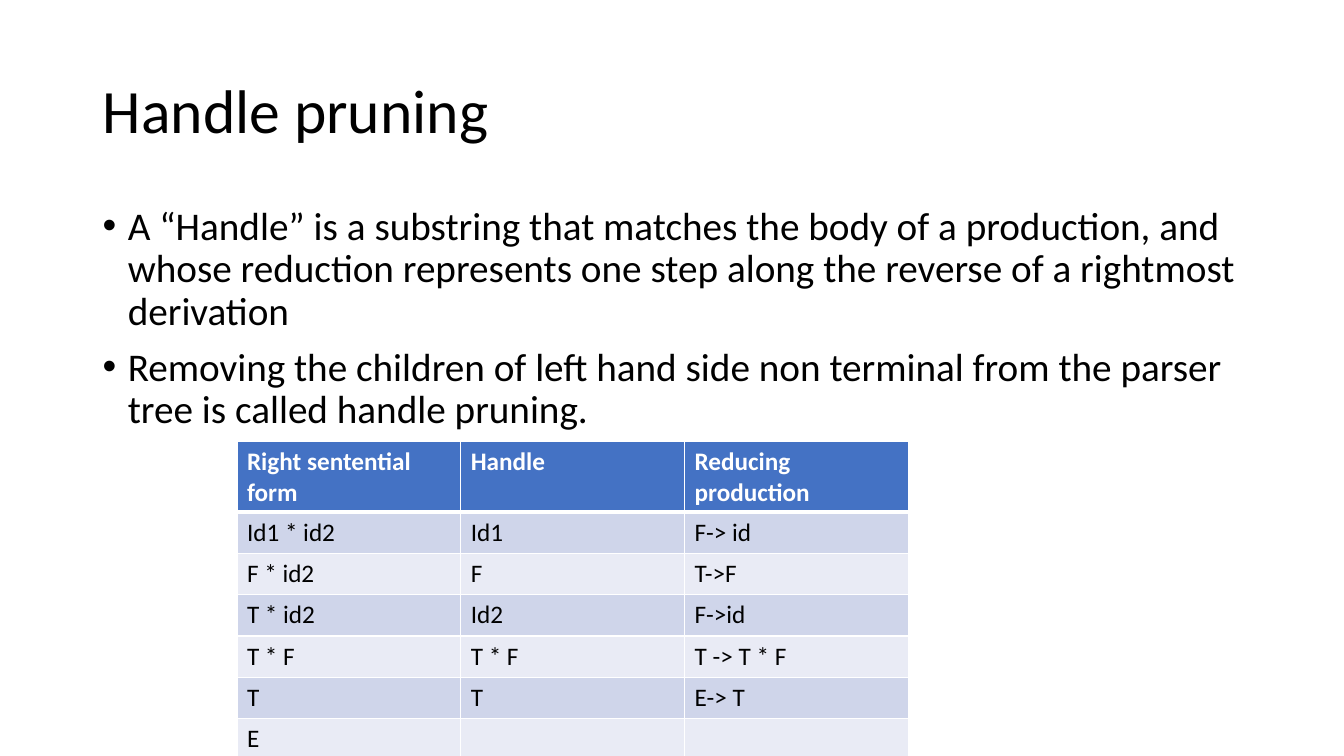
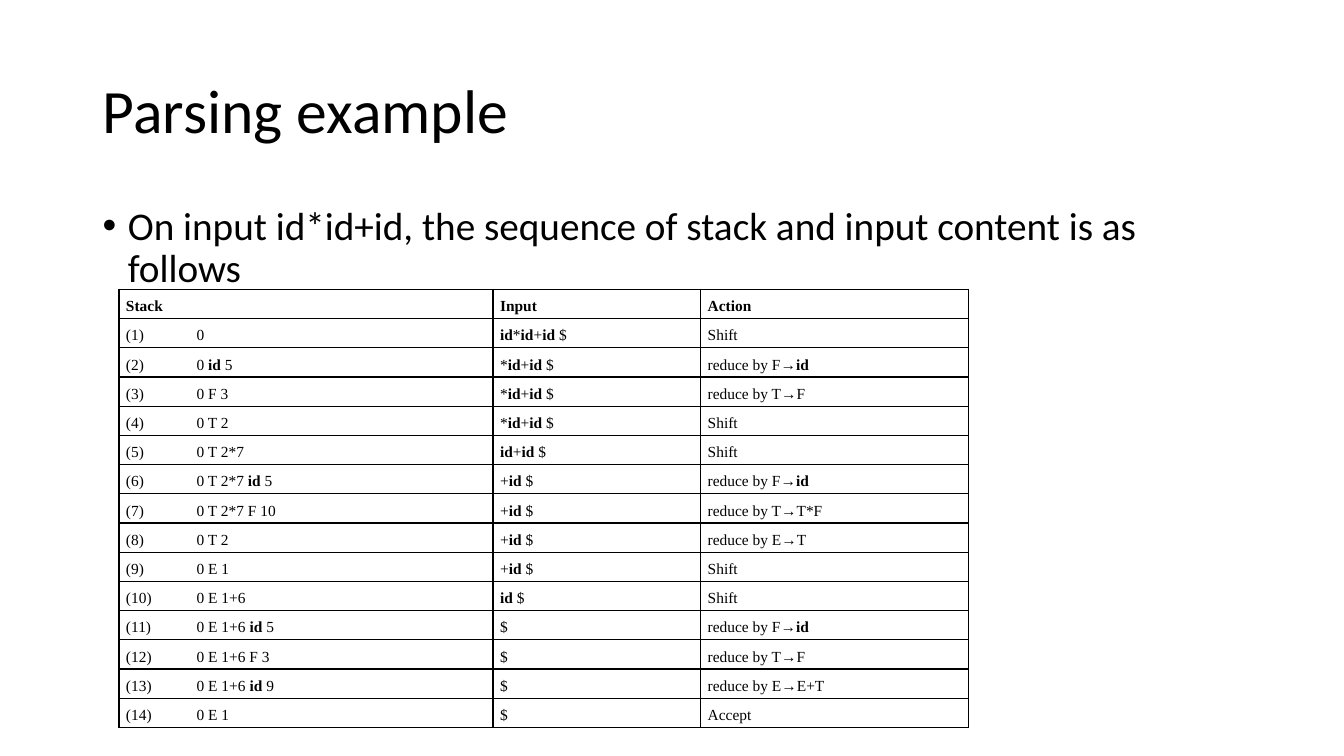
"""Build two slides on handle pruning and shift-reduce parsing."""
from dataclasses import dataclass

from lxml import etree
from pptx import Presentation
from pptx.dml.color import RGBColor
from pptx.enum import text as te
from pptx.oxml import ns
from pptx.util import Inches, Pt

HUES = {"ink": "000000", "white": "FFFFFF", "head": "4472C4",
        "odd": "CFD5EA", "even": "E9EBF5"}
SANS, SERIF = "Calibri", "Times New Roman"


@dataclass
class Look:
    font: str
    size: float
    edge: str
    head: str
    head_ink: str
    fills: tuple = ()
    head_rule: float = 1
    inset: tuple = (0.1, 0.05)
    align: te.PP_ALIGN = te.PP_ALIGN.LEFT
    lead: float = 1
    before: float = 0
    key: str = ""


@dataclass
class Grid:
    left: float
    top: float
    cols: tuple
    high: float
    rows: list
    look: Look
    joined: bool = False


@dataclass
class Page:
    title: str
    points: list
    grid: Grid


BANDED = Look(SANS, 18, "white", "head", "white", ("odd", "even"), head_rule=3)
RULED = Look(SERIF, 11, "ink", "", "ink", inset=(0.07, 0),
             align=te.PP_ALIGN.JUSTIFY, lead=1.5, before=12, key="id")

PRUNE = [
    ("Right sentential form", "Handle", "Reducing production"),
    ("Id1 * id2", "Id1", "F-> id"),
    ("F * id2", "F", "T->F"),
    ("T * id2", "Id2", "F->id"),
    ("T * F", "T * F", "T -> T * F"),
    ("T", "T", "E-> T"),
    ("E", "", ""),
]
MOVES = [
    ("0", "id*id+id $", "Shift"),
    ("0 id 5", "*id+id $", "reduce by F→id"),
    ("0 F 3", "*id+id $", "reduce by T→F"),
    ("0 T 2", "*id+id $", "Shift"),
    ("0 T 2*7", "id+id $", "Shift"),
    ("0 T 2*7 id 5", "+id $", "reduce by F→id"),
    ("0 T 2*7 F 10", "+id $", "reduce by T→T*F"),
    ("0 T 2", "+id $", "reduce by E→T"),
    ("0 E 1", "+id $", "Shift"),
    ("0 E 1+6", "id $", "Shift"),
    ("0 E 1+6 id 5", "$", "reduce by F→id"),
    ("0 E 1+6 F 3", "$", "reduce by T→F"),
    ("0 E 1+6 id 9", "$", "reduce by E→E+T"),
    ("0 E 1", "$", "Accept"),
]
TRACE = [("Stack", "", "Input", "Action")]
TRACE += [(f"({n})", *move) for n, move in enumerate(MOVES, 1)]

PAGES = [
    Page("Handle pruning",
         ["A “Handle” is a substring that matches the body of a production, "
          "and whose reduction represents one step along the reverse of a "
          "rightmost derivation",
          "Removing the children of left hand side non terminal from the "
          "parser tree is called handle pruning."],
         Grid(2.35, 4.38, (2.22,) * 3, 0.41, PRUNE, BANDED)),
    Page("Parsing example",
         ["On input id*id+id, the sequence of stack and input content is as "
          "follows"],
         Grid(1.18, 2.87, (0.7, 3.01, 2.06, 2.66), 0.29, TRACE, RULED,
              joined=True)),
]


def style(para, font: str, size: float, hue: str, bold: bool = False) -> None:
    """Set the font of a paragraph."""
    para.font.name, para.font.size, para.font.bold = font, Pt(size), bold
    para.font.color.rgb = RGBColor.from_string(HUES[hue])


def add_title(slide, words: str) -> None:
    """Place and format the title placeholder."""
    title = slide.shapes.title
    title.left, title.top = Inches(0.92), Inches(0.4)
    title.width, title.height = Inches(11.5), Inches(1.45)
    frame = title.text_frame
    frame.text = words
    frame.auto_size = te.MSO_AUTO_SIZE.NONE
    frame.vertical_anchor = te.MSO_ANCHOR.MIDDLE
    para = frame.paragraphs[0]
    para.alignment, para.line_spacing = te.PP_ALIGN.LEFT, 0.9
    style(para, SANS, 44, "ink")


def add_points(slide, points: list) -> None:
    """Add the bulleted text."""
    box = slide.shapes.add_textbox(Inches(0.92), Inches(2), Inches(11.5),
                                   Inches(4.76))
    frame = box.text_frame
    frame.word_wrap = True
    frame.text = "\n".join(points)
    for para in frame.paragraphs:
        para.line_spacing, para.space_before = 0.9, Pt(10)
        style(para, SANS, 28, "ink")
        props = para._p.get_or_add_pPr()
        props.set("marL", str(Inches(0.25)))
        props.set("indent", str(-Inches(0.25)))
        mark = etree.Element(ns.qn("a:buChar"), char="•")
        face = etree.Element(ns.qn("a:buFont"), typeface="Arial")
        run = props.find(ns.qn("a:defRPr"))
        run.addprevious(face)
        run.addprevious(mark)


def set_edge(cell, side: str, width: float, hue: str) -> None:
    """Draw one cell border, or clear it when the width is zero."""
    props = cell._tc.get_or_add_tcPr()
    line = etree.SubElement(props, ns.qn(f"a:ln{side}"), w=str(Pt(width)))
    if width:
        fill = etree.SubElement(line, ns.qn("a:solidFill"))
        etree.SubElement(fill, ns.qn("a:srgbClr"), val=HUES[hue])
    else:
        etree.SubElement(line, ns.qn("a:noFill"))


def fill_cell(cell, words: str, row: int, look: Look) -> None:
    """Write and format one cell."""
    cell.margin_left = cell.margin_right = Inches(look.inset[0])
    cell.margin_top = cell.margin_bottom = Inches(look.inset[1])
    para = cell.text_frame.paragraphs[0]
    para.alignment, para.line_spacing = look.align, look.lead
    para.space_before = Pt(look.before)
    style(para, look.font, look.size, "ink" if row else look.head_ink, not row)
    parts = words.split(look.key) if look.key else [words]
    for n, part in enumerate(parts):
        if n:
            key = para.add_run()
            key.text, key.font.bold = look.key, True
        if part:
            para.add_run().text = part
    hue = look.head
    if row and look.fills:
        hue = look.fills[(row - 1) % len(look.fills)]
    if hue:
        cell.fill.solid()
        cell.fill.fore_color.rgb = RGBColor.from_string(HUES[hue])
    else:
        cell.fill.background()


def add_grid(slide, grid: Grid) -> None:
    """Add a table; a joined one has no rule between its first two columns."""
    look = grid.look
    table = slide.shapes.add_table(
        len(grid.rows), len(grid.cols), Inches(grid.left), Inches(grid.top),
        Inches(sum(grid.cols)), Inches(grid.high * len(grid.rows))).table
    table.first_row = table.horz_banding = False
    for col, width in zip(table.columns, grid.cols):
        col.width = Inches(width)
    for r, row in enumerate(grid.rows):
        table.rows[r].height = Inches(grid.high)
        for c, words in enumerate(row):
            cell = table.cell(r, c)
            edges = {"L": 0 if grid.joined and c == 1 else 1,
                     "R": 0 if grid.joined and c == 0 and r else 1,
                     "T": look.head_rule if r == 1 else 1,
                     "B": look.head_rule if r == 0 else 1}
            for side, width in edges.items():
                set_edge(cell, side, width, look.edge)
            fill_cell(cell, words, r, look)
    if grid.joined:
        table.cell(0, 0).merge(table.cell(0, 1))


def main() -> None:
    """Build and save the deck."""
    deck = Presentation()
    deck.slide_width, deck.slide_height = Inches(13.33), Inches(7.5)
    for page in PAGES:
        slide = deck.slides.add_slide(deck.slide_layouts[5])
        add_title(slide, page.title)
        add_points(slide, page.points)
        add_grid(slide, page.grid)
    deck.save("out.pptx")


if __name__ == "__main__":
    main()
